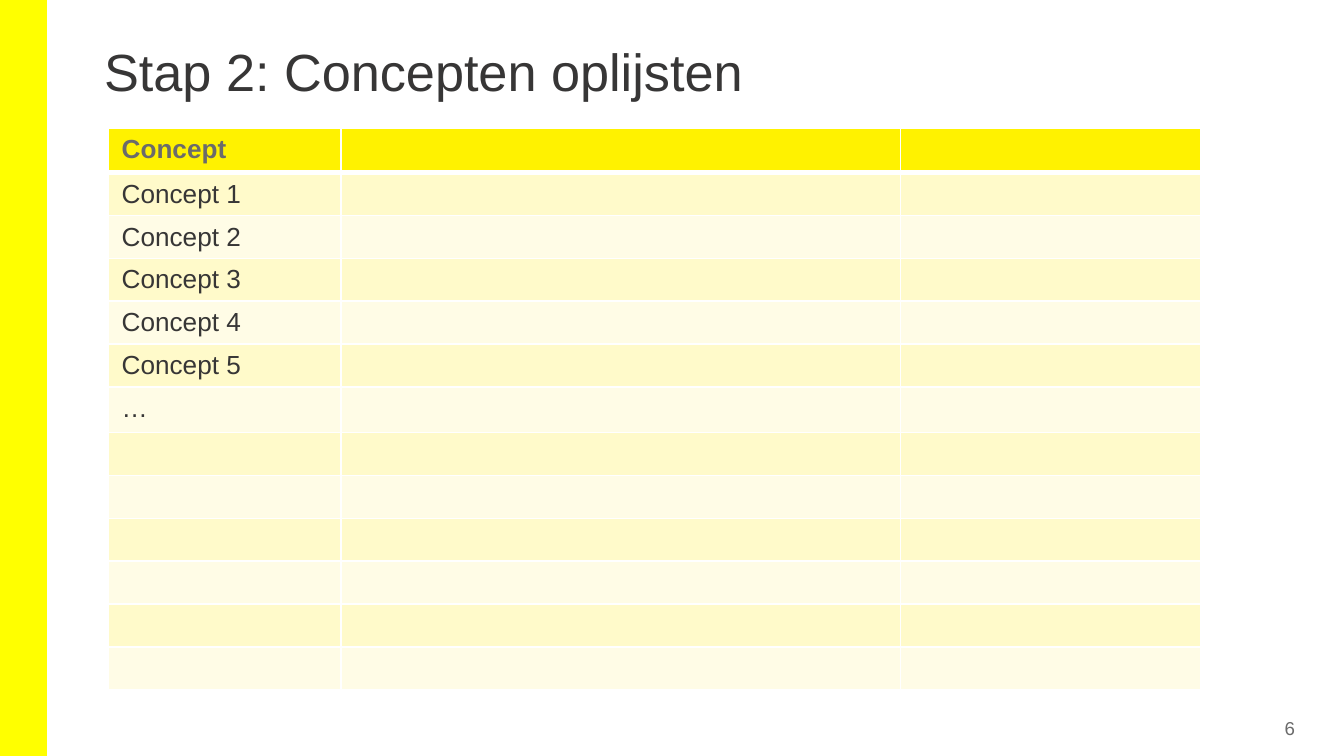
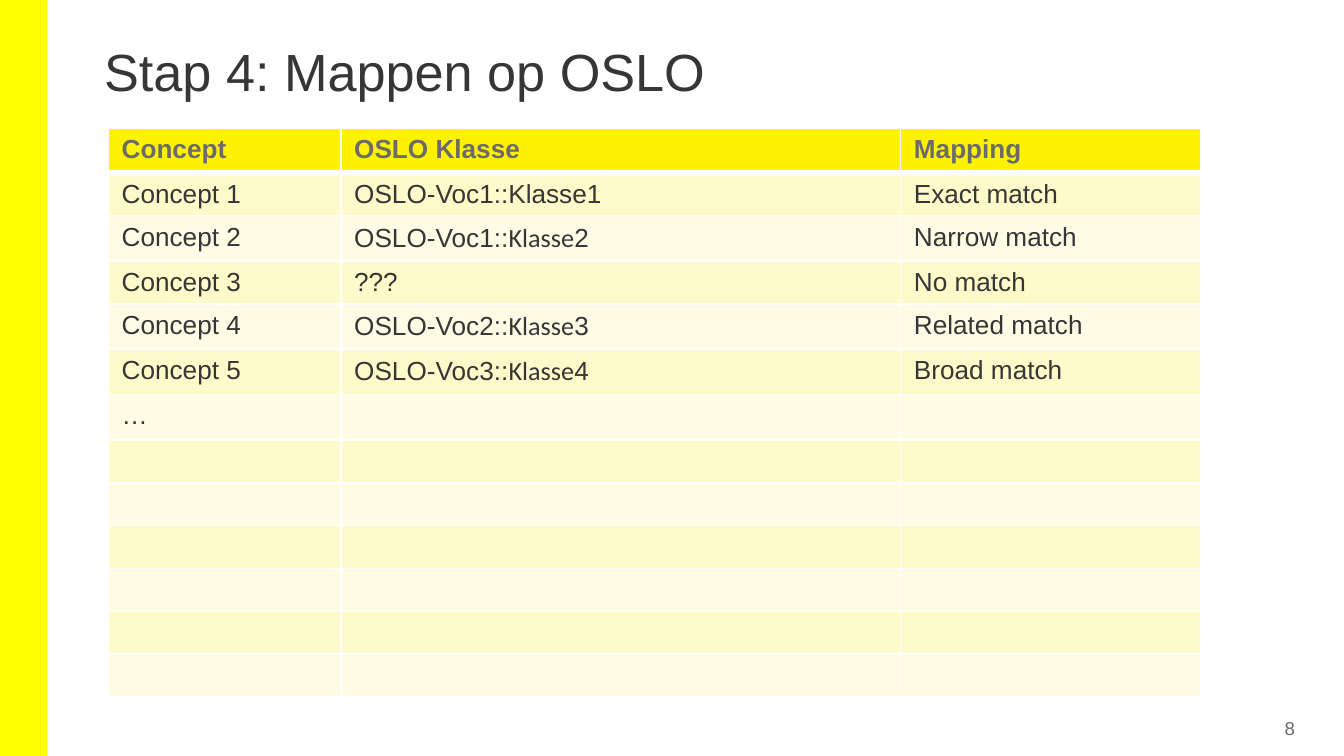
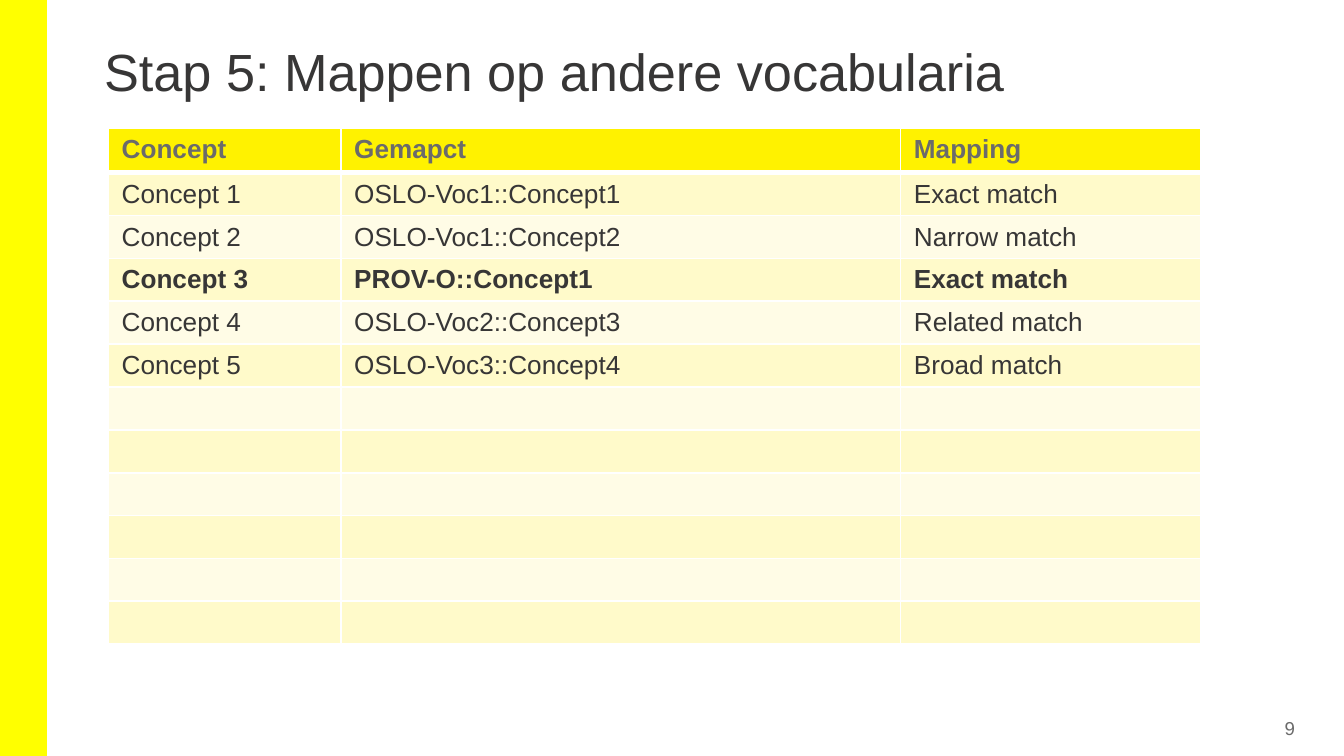
from lxml import etree
from pptx import Presentation
from pptx.dml.color import RGBColor
from pptx.enum.shapes import MSO_SHAPE
from pptx.enum.text import MSO_ANCHOR, MSO_AUTO_SIZE, PP_ALIGN
from pptx.oxml.ns import qn
from pptx.util import Pt

# Scale: 200 px to the inch
PX = 4572
SLIDE_WIDTH, SLIDE_HEIGHT = 2000, 1125

# Colours
YELLOW = RGBColor(0xFF, 0xFF, 0x00)
HEADER_YELLOW = RGBColor(0xFF, 0xF2, 0x00)
ROW_FILLS = (RGBColor(0xFF, 0xFA, 0xCA), RGBColor(0xFF, 0xFC, 0xE6))
DARK = RGBColor(0x37, 0x36, 0x36)
GREY = RGBColor(0x6B, 0x6B, 0x6B)
WHITE = RGBColor(0xFF, 0xFF, 0xFF)

# Fonts and enum members
ARIAL, CALIBRI = "Arial", "Calibri"
RECTANGLE = MSO_SHAPE.RECTANGLE
TOP, MIDDLE = MSO_ANCHOR.TOP, MSO_ANCHOR.MIDDLE
LEFT, RIGHT = PP_ALIGN.LEFT, PP_ALIGN.RIGHT
NO_AUTOFIT = MSO_AUTO_SIZE.NONE

# Table measures
TITLE_ONLY = 5
TABLE_LEFT, TABLE_TOP = 161, 191
COLUMN_WIDTHS = (346, 833, 447)
HEADER_HEIGHT, ROW_HEIGHT, ELLIPSIS_HEIGHT = 66, 48, 68
CELL_SIZE = 14


def px(length):
    return length * PX


def write_text(text_frame, text, size=CELL_SIZE, color=DARK, bold=False,
               align=LEFT, line_spacing=None):
    """Write a string, or a tuple of strings and (string, font) pairs."""
    paragraph = text_frame.paragraphs[0]
    paragraph.alignment = align
    paragraph.line_spacing = line_spacing
    for part in (text,) if isinstance(text, str) else text:
        content, font_name = (part, ARIAL) if isinstance(part, str) else part
        run = paragraph.add_run()
        run.text = content
        run.font.name = font_name
        run.font.size = Pt(size)
        run.font.bold = bold
        run.font.color.rgb = color


def set_border(cell, side, points):
    properties = cell._tc.get_or_add_tcPr()
    line = etree.SubElement(properties, qn(f"a:ln{side}"), w=str(Pt(points)))
    fill = etree.SubElement(line, qn("a:solidFill"))
    etree.SubElement(fill, qn("a:srgbClr"), val=str(WHITE))


def set_empty_size(cell, size=CELL_SIZE):
    """Keep an empty cell as low as one line of table text."""
    paragraph = cell.text_frame.paragraphs[0]._p
    end = etree.SubElement(paragraph, qn("a:endParaRPr"), sz=str(size * 100))
    etree.SubElement(end, qn("a:latin"), typeface=ARIAL)


class Deck:
    def __init__(self):
        self.presentation = Presentation()
        self.presentation.slide_width = px(SLIDE_WIDTH)
        self.presentation.slide_height = px(SLIDE_HEIGHT)
        self.slide = None

    def add_slide(self, title, number):
        layout = self.presentation.slide_layouts[TITLE_ONLY]
        self.slide = self.presentation.slides.add_slide(layout)
        self.add_band()
        self.add_number(number)
        self.add_title(title)

    def add_band(self):
        band = self.slide.shapes.add_shape(RECTANGLE, 0, 0, px(70), px(SLIDE_HEIGHT))
        band.shadow.inherit = False
        band.fill.solid()
        band.fill.fore_color.rgb = YELLOW
        band.line.fill.background()

    def add_number(self, number):
        box = self.slide.shapes.add_textbox(px(1785), px(1063), px(150), px(42))
        self.set_frame(box.text_frame, MIDDLE, 8)
        write_text(box.text_frame, str(number), size=10, color=GREY, align=RIGHT)

    def add_title(self, text):
        title = self.slide.shapes.title
        title.left, title.top = px(137), px(61)
        title.width, title.height = px(1725), px(162)
        self.set_frame(title.text_frame, TOP, 18)
        write_text(title.text_frame, text, size=28, line_spacing=0.9)

    def set_frame(self, text_frame, anchor, side_margin):
        text_frame.word_wrap = True
        text_frame.auto_size = NO_AUTOFIT
        text_frame.vertical_anchor = anchor
        text_frame.margin_left = text_frame.margin_right = px(side_margin)
        text_frame.margin_top = text_frame.margin_bottom = px(8)

    def add_table(self, rows, row_count, height, bold_row=None):
        frame = self.slide.shapes.add_table(
            row_count, len(COLUMN_WIDTHS), px(TABLE_LEFT), px(TABLE_TOP),
            px(sum(COLUMN_WIDTHS)), px(height))
        table = frame.table
        for column, width in zip(table.columns, COLUMN_WIDTHS):
            column.width = px(width)
        for row_index in range(row_count):
            texts = rows[row_index] if row_index < len(rows) else ()
            row = table.rows[row_index]
            if row_index == 0:
                row.height = px(HEADER_HEIGHT)
            else:
                row.height = px(ELLIPSIS_HEIGHT if "…" in texts else ROW_HEIGHT)
            for column_index, cell in enumerate(row.cells):
                text = texts[column_index] if column_index < len(texts) else ""
                self.format_cell(cell, text, row_index, row_index in (0, bold_row))
        frame.height = px(height)

    def format_cell(self, cell, text, row_index, bold):
        is_header = row_index == 0
        set_border(cell, "L", 1)
        set_border(cell, "R", 1)
        if is_header:
            set_border(cell, "T", 1)
        set_border(cell, "B", 3 if is_header else 1)
        cell.fill.solid()
        cell.fill.fore_color.rgb = (
            HEADER_YELLOW if is_header else ROW_FILLS[(row_index - 1) % 2])
        if text:
            write_text(cell.text_frame, text, color=GREY if is_header else DARK, bold=bold)
        else:
            set_empty_size(cell)


def klasse(vocabulary, number):
    return f"OSLO-Voc{vocabulary}::", ("Klasse", CALIBRI), str(number)


def main():
    deck = Deck()
    concepts = [f"Concept {number}" for number in range(1, 6)]

    # Step 2: list of concepts
    deck.add_slide("Stap 2: Concepten oplijsten", 6)
    deck.add_table([(text,) for text in ("Concept", *concepts, "…")], 13, 868)

    # Step 4: mapping to OSLO classes
    classes = ("OSLO-Voc1::Klasse1", klasse(1, 2), "???", klasse(2, 3), klasse(3, 4))
    matches = ["Exact match", "Narrow match", "No match", "Related match", "Broad match"]
    deck.add_slide("Stap 4: Mappen op OSLO", 8)
    deck.add_table(
        [("Concept", "OSLO Klasse", "Mapping"), *zip(concepts, classes, matches), ("…",)],
        13, 868)

    # Step 5: mapping to other vocabularies
    targets = ("OSLO-Voc1::Concept1", "OSLO-Voc1::Concept2", "PROV-O::Concept1",
               "OSLO-Voc2::Concept3", "OSLO-Voc3::Concept4")
    matches[2] = "Exact match"
    deck.add_slide("Stap 5: Mappen op andere vocabularia", 9)
    deck.add_table(
        [("Concept", "Gemapct", "Mapping"), *zip(concepts, targets, matches)],
        12, 800, bold_row=3)

    deck.presentation.save("out.pptx")


if __name__ == "__main__":
    main()
